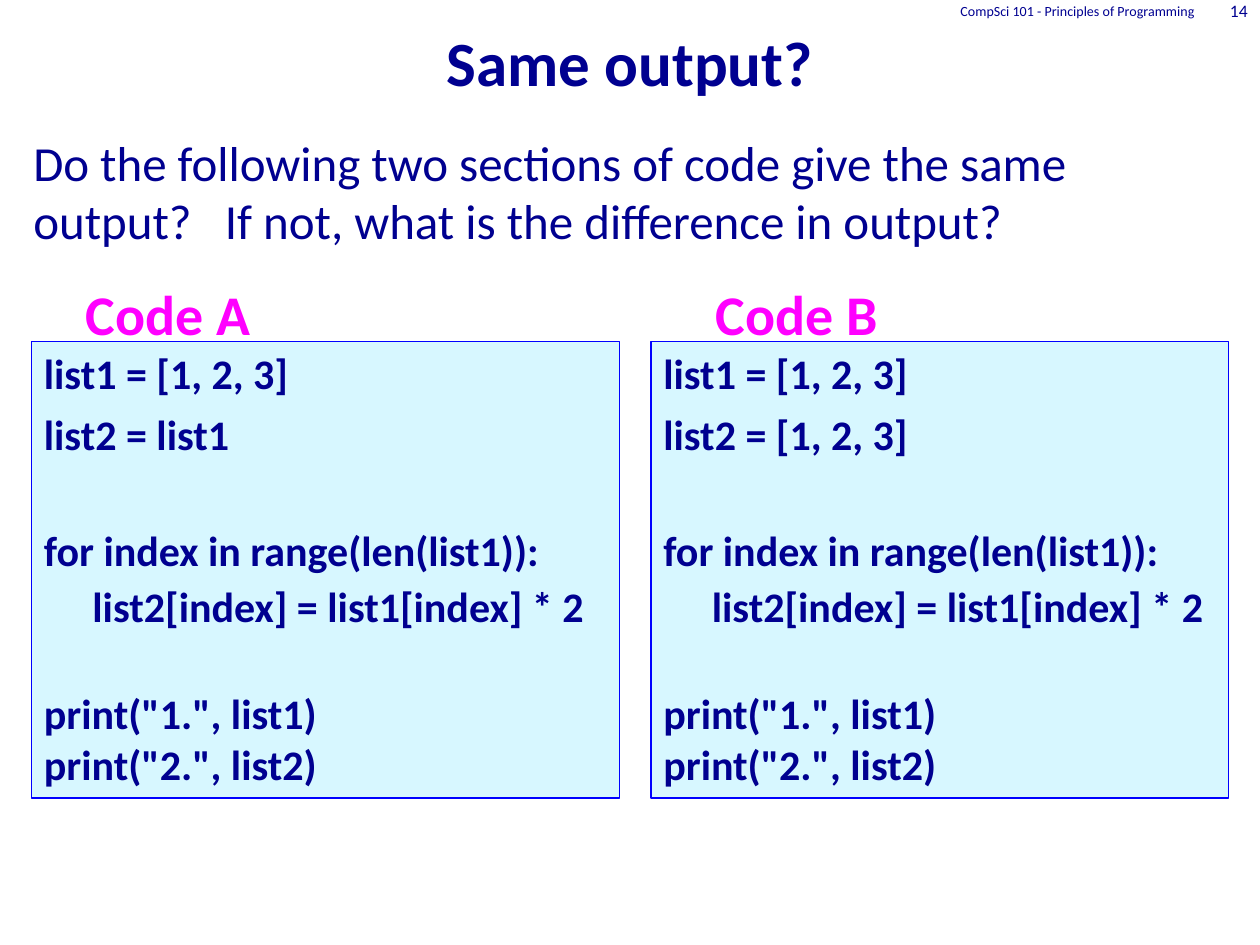
from dataclasses import dataclass

from pptx import Presentation
from pptx.dml.color import RGBColor as Rgb
from pptx.enum.shapes import MSO_SHAPE as Shape
from pptx.enum.text import MSO_ANCHOR as Anchor, PP_ALIGN as Align
from pptx.util import Pt

PX = 9525


@dataclass(frozen=True)
class Theme:
    font: str = "Calibri"
    ink: str = "000090"
    heading: str = "FF00FF"
    panel: str = "D7F7FF"
    border: str = "0000FF"
    title_size: int = 36
    heading_size: int = 32
    question_size: int = 28
    code_size: int = 24
    number_size: int = 10
    course_size: int = 8


THEME = Theme()
LOOP = [
    ("for index in range(len(list1)):", {"space_before": Pt(41), "line_spacing": 0.9}, 0),
    ("list2[index] = list1[index] * 2", {"space_before": Pt(6), "line_spacing": 0.9}, 37),
    ('print("1.", list1)', {"space_before": Pt(32)}, 0),
    ('print("2.", list2)', {}, 0),
]


def emu(*lengths):
    return [length * PX for length in lengths]


def apply(target, formats):
    for key, value in formats.items():
        setattr(target, key, value)


def write(paragraph, words, size, color=THEME.ink, bold=False, formats=None, indent=0):
    run = paragraph.add_run()
    run.text = words
    apply(run.font, {"name": THEME.font, "size": Pt(size), "bold": bold})
    run.font.color.rgb = Rgb.from_string(color)
    apply(paragraph, {"alignment": Align.LEFT, **(formats or {})})
    if indent:
        paragraph._p.get_or_add_pPr().set("marL", str(indent * PX))


def add_label(slide, box, words, size, frame_formats=None, **style):
    frame = slide.shapes.add_textbox(*emu(*box)).text_frame
    apply(frame, {"word_wrap": True, **(frame_formats or {})})
    write(frame.paragraphs[0], words, size, **style)


def add_title(slide, box, words):
    title = slide.shapes.title
    apply(title, dict(zip(("left", "top", "width", "height"), emu(*box))))
    title.text_frame.vertical_anchor = Anchor.BOTTOM
    write(title.text_frame.paragraphs[0], words, THEME.title_size, bold=True,
          formats={"alignment": Align.CENTER})


def add_header(slide, box, course, number):
    left, top, width, height = box
    strip = {"vertical_anchor": Anchor.MIDDLE, "margin_top": 0, "margin_bottom": 0}
    right = {"alignment": Align.RIGHT}
    number_width, course_width, overlap = 56, 288, 16
    number_left = left + width - number_width
    add_label(slide, (number_left, top, number_width, height), number,
              THEME.number_size, strip, formats=right)
    add_label(slide, (number_left + overlap - course_width, top, course_width, height),
              course, THEME.course_size, strip, formats=right)


def add_code(slide, box, heading, heading_inset, assignments):
    left, top, width, height = box
    panel = slide.shapes.add_shape(Shape.RECTANGLE, *emu(*box))
    panel.shadow.inherit = False
    panel.fill.solid()
    panel.fill.fore_color.rgb = Rgb.from_string(THEME.panel)
    panel.line.color.rgb = Rgb.from_string(THEME.border)
    panel.line.width = Pt(0.75)
    frame = panel.text_frame
    apply(frame, {"word_wrap": True, "vertical_anchor": Anchor.TOP})
    lines = [(line, {"space_before": Pt(6)}, 0) for line in assignments] + LOOP
    for index, (line, formats, indent) in enumerate(lines):
        paragraph = frame.add_paragraph() if index else frame.paragraphs[0]
        write(paragraph, line, THEME.code_size, bold=True, formats=formats, indent=indent)
    add_label(slide, (left + heading_inset, top - 52, 192, 61), heading,
              THEME.heading_size, color=THEME.heading, bold=True)


def main():
    deck = Presentation()
    deck.slide_width, deck.slide_height = emu(960, 720)
    slide = deck.slides.add_slide(deck.slide_layouts[5])
    add_title(slide, (0, 0, 960, 80), "Same output?")
    add_label(slide, (16, 96, 920, 140),
              "Do the following two sections of code give the same output?   "
              "If not, what is the difference in output?", THEME.question_size)
    add_header(slide, (0, 0, 960, 16), "CompSci 101 - Principles of Programming", "14")
    first_list = "list1 = [1, 2, 3]"
    add_code(slide, (24, 260, 448, 348), "Code A", 32, [first_list, "list2 = list1"])
    add_code(slide, (496, 260, 440, 348), "Code B", 40, [first_list, "list2 = [1, 2, 3]"])
    deck.save("out.pptx")


if __name__ == "__main__":
    main()
